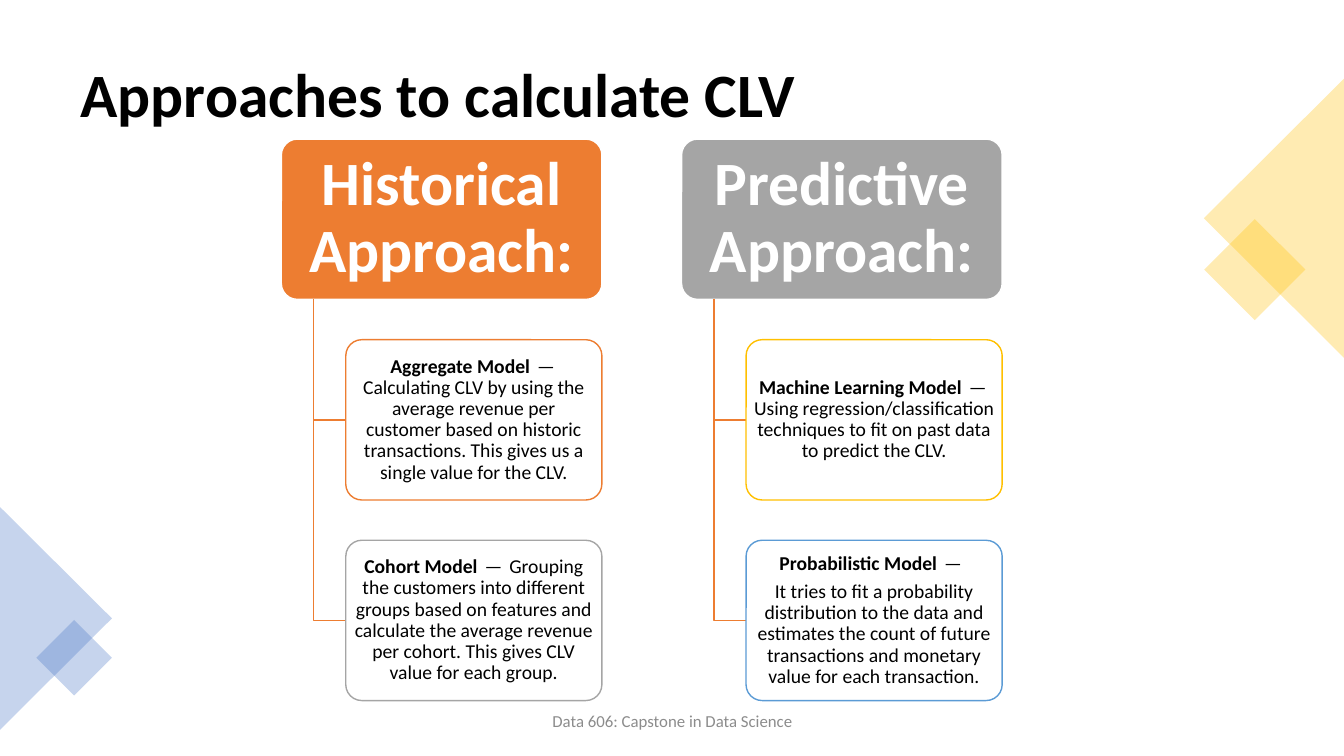
"""Build the slide on approaches to calculate customer lifetime value."""
from pptx import Presentation
from pptx.dml.color import RGBColor
from pptx.enum.shapes import MSO_SHAPE
from pptx.enum.text import MSO_ANCHOR, PP_ALIGN
from pptx.oxml.ns import qn
from pptx.util import Inches, Pt
from lxml.etree import SubElement

BLACK = RGBColor(0x00, 0x00, 0x00)
WHITE = RGBColor(0xFF, 0xFF, 0xFF)
ORANGE = RGBColor(0xED, 0x7D, 0x31)
GRAY = RGBColor(0xA5, 0xA5, 0xA5)
GOLD = RGBColor(0xFF, 0xC0, 0x00)
SKY = RGBColor(0x5B, 0x9B, 0xD5)
BLUE = RGBColor(0x44, 0x72, 0xC4)
FOOTER_GRAY = RGBColor(0x8C, 0x8C, 0x8C)

DASH = "\u200a\u2014\u200a "
CARD_HEIGHT = 1.59
HEADING_TOP = 1.38
ROW_STEP = 1.99

deck = Presentation()
deck.slide_width = Inches(13.33)
deck.slide_height = Inches(7.5)
page = deck.slides.add_slide(deck.slide_layouts[5])


def add_filled(kind, left, top, width, height, color, opacity=100):
    """Add a borderless preset shape with a solid fill."""
    shape = page.shapes.add_shape(
        kind, Inches(left), Inches(top), Inches(width), Inches(height))
    shape.shadow.inherit = False
    shape.fill.solid()
    shape.fill.fore_color.rgb = color
    shape.line.fill.background()
    if opacity < 100:
        tint = shape.fill._xPr.find(qn("a:solidFill"))[0]
        SubElement(tint, qn("a:alpha"), val=str(opacity * 1000))
    return shape


def write(box, paragraphs, size, color, align, spacing, after, insets):
    """Fill a text frame with paragraphs of (text, bold) spans."""
    frame = box.text_frame
    frame.word_wrap = True
    frame.vertical_anchor = MSO_ANCHOR.MIDDLE
    frame.margin_left = frame.margin_right = Inches(insets[0])
    frame.margin_top = frame.margin_bottom = Inches(insets[1])
    for index, spans in enumerate(paragraphs):
        para = frame.add_paragraph() if index else frame.paragraphs[0]
        para.alignment = align
        para.line_spacing = spacing
        para.space_after = Pt(after)
        for text, bold in spans:
            span = para.add_run()
            span.text = text
            span.font.name = "Calibri"
            span.font.size = Pt(size)
            span.font.bold = bold
            span.font.color.rgb = color


title = page.shapes.title
title.left, title.top = Inches(0.7), Inches(0.35)
title.width, title.height = Inches(11.93), Inches(1.24)
write(title, [[("Approaches to calculate CLV", True)]],
      44, BLACK, PP_ALIGN.LEFT, 0.9, 0, (0.1, 0.05))

decorations = [
    (MSO_SHAPE.RECTANGLE, 12.09, 2.32, 0.71, 0.71, GOLD, 45),
    (MSO_SHAPE.ISOSCELES_TRIANGLE, 11.25, 1.47, 2.77, 1.39, GOLD, 270),
    (MSO_SHAPE.ISOSCELES_TRIANGLE, -0.55, 5.58, 2.21, 1.11, BLUE, 90),
    (MSO_SHAPE.RECTANGLE, 0.47, 6.26, 0.53, 0.53, BLUE, 45),
]
for kind, left, top, width, height, color, angle in decorations:
    add_filled(kind, left, top, width, height, color, 30).rotation = angle

footer = page.shapes.add_textbox(Inches(4.42), Inches(6.95), Inches(4.5), Inches(0.4))
write(footer, [[("Data 606: Capstone in Data Science", False)]],
      12, FOOTER_GRAY, PP_ALIGN.CENTER, 1.0, 6, (0.1, 0.05))

approaches = [
    (2.79, "Historical Approach:", ORANGE, [
        (ORANGE, [[("Aggregate Model\u00a0", True),
                   (DASH + "Calculating CLV by using the average revenue per customer "
                    "based on historic transactions. This gives us a single value "
                    "for the CLV.", False)]]),
        (GRAY, [[("Cohort Model\u00a0", True),
                 (DASH + "Grouping the customers into different groups based on "
                  "features and calculate the average revenue per cohort. This "
                  "gives CLV value for each group.", False)]]),
    ]),
    (6.76, "Predictive Approach:", GRAY, [
        (GOLD, [[("Machine Learning Model\u00a0", True),
                 (DASH + "Using regression/classification techniques to fit on past "
                  "data to predict the CLV.", False)]]),
        (SKY, [[("Probabilistic Model\u00a0", True), (DASH, False)],
               [("It tries to fit a probability distribution to the data and "
                 "estimates the count of future transactions and monetary value "
                 "for each transaction.", False)]]),
    ]),
]
for left, name, color, models in approaches:
    heading = add_filled(MSO_SHAPE.ROUNDED_RECTANGLE,
                         left, HEADING_TOP, 3.18, CARD_HEIGHT, color)
    heading.adjustments[0] = 0.1
    heading.line.color.rgb = WHITE
    heading.line.width = Pt(1)
    write(heading, [[(name, True)]], 44, WHITE, PP_ALIGN.CENTER, 0.9, 15, (0.09, 0.06))

    trunk_x, card_x = left + 0.32, left + 0.64
    for row, (border, paragraphs) in enumerate(models, start=1):
        card_top = HEADING_TOP + row * ROW_STEP
        card_middle = Inches(card_top + CARD_HEIGHT / 2)
        builder = page.shapes.build_freeform(
            Inches(trunk_x), Inches(HEADING_TOP + CARD_HEIGHT))
        builder.add_line_segments(
            [(Inches(trunk_x), card_middle), (Inches(card_x), card_middle)], close=False)
        branch = builder.convert_to_shape()
        branch.shadow.inherit = False
        branch.fill.background()
        branch.line.color.rgb = ORANGE
        branch.line.width = Pt(1)

        card = add_filled(MSO_SHAPE.ROUNDED_RECTANGLE,
                          card_x, card_top, 2.54, CARD_HEIGHT, WHITE, 90)
        card.adjustments[0] = 0.1
        card.line.color.rgb = border
        card.line.width = Pt(1)
        write(card, paragraphs, 14, BLACK, PP_ALIGN.CENTER, 0.9, 5, (0.03, 0.02))

deck.save("out.pptx")
